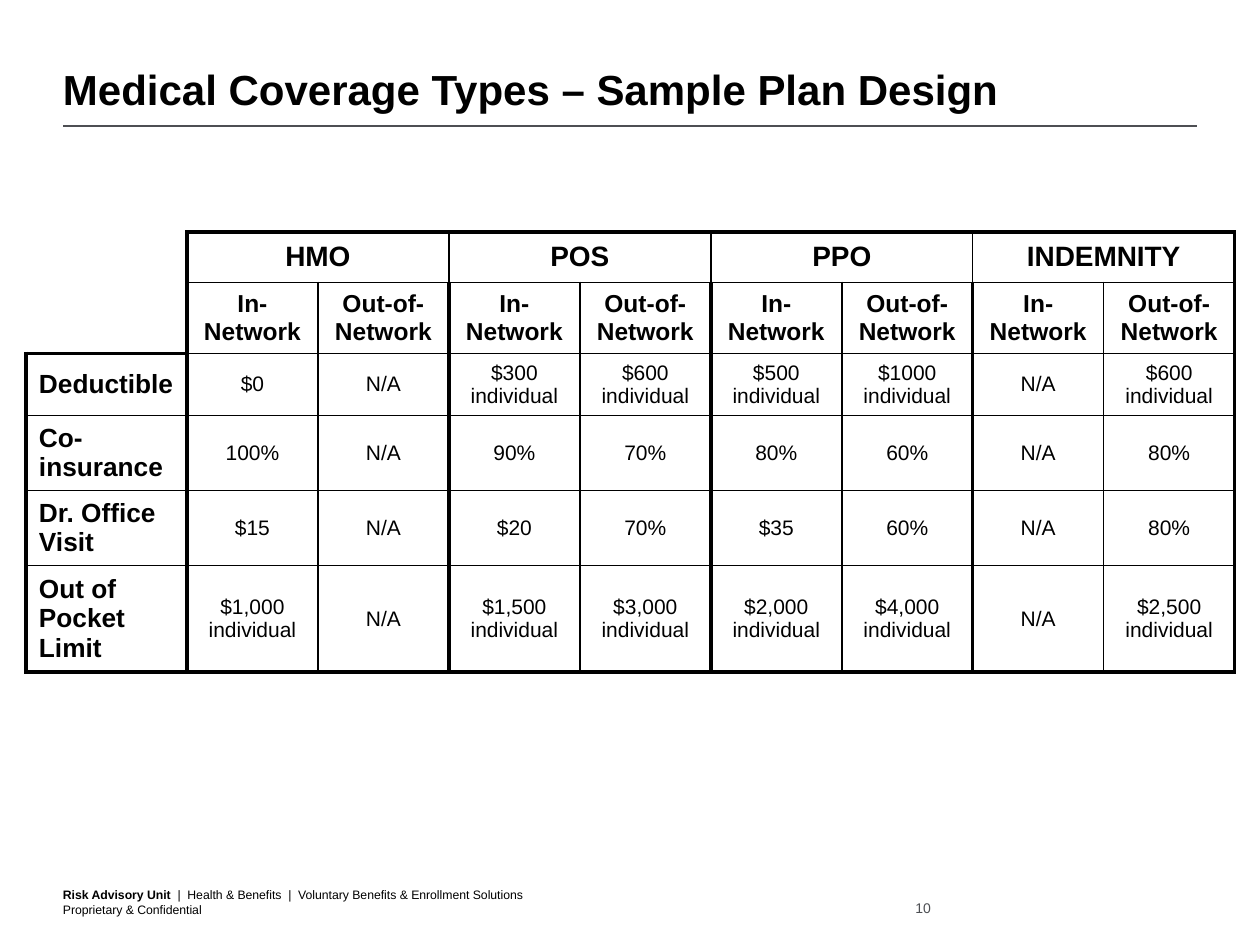
from dataclasses import dataclass

from lxml import etree
from pptx import Presentation
from pptx.dml.color import RGBColor
from pptx.enum.shapes import MSO_CONNECTOR
from pptx.enum.text import MSO_ANCHOR, PP_ALIGN
from pptx.oxml.ns import qn
from pptx.util import Emu, Pt

LEFT, CENTER, RIGHT = PP_ALIGN.LEFT, PP_ALIGN.CENTER, PP_ALIGN.RIGHT
BOTTOM, MIDDLE = MSO_ANCHOR.BOTTOM, MSO_ANCHOR.MIDDLE
STRAIGHT = MSO_CONNECTOR.STRAIGHT

PX_PER_INCH = 126
FONT = "Arial"
BLACK, GRAY = "000000", "4D4F53"
THICK, THIN, NONE = 2.25, 1, 0

PLANS = ["HMO", "POS", "PPO", "INDEMNITY"]
NETWORKS = ["In-Network", "Out-of-Network"]
BENEFITS = [
    ("Deductible", "$0", "N/A", "$300 individual", "$600 individual",
     "$500 individual", "$1000 individual", "N/A", "$600 individual"),
    ("Co-insurance", "100%", "N/A", "90%", "70%", "80%", "60%", "N/A", "80%"),
    ("Dr. Office Visit", "$15", "N/A", "$20", "70%", "$35", "60%", "N/A", "80%"),
    ("Out of Pocket Limit", "$1,000 individual", "N/A", "$1,500 individual",
     "$3,000 individual", "$2,000 individual", "$4,000 individual", "N/A",
     "$2,500 individual"),
]
COL_WIDTHS = [161] + [131] * 8
ROW_HEIGHTS = [45, 69, 60, 72, 72, 102]
HEADER_ROWS = 2


@dataclass
class Style:
    size: float
    bold: bool = False
    color: str = BLACK
    align: PP_ALIGN = LEFT


PLAN = Style(16, True, align=CENTER)
NETWORK = Style(14, True, align=CENTER)
BENEFIT = Style(15, True)
VALUE = Style(12, align=CENTER)


def px(n: int) -> Emu:
    return Emu(round(n * 914400 / PX_PER_INCH))


def rgb(color: str) -> RGBColor:
    return RGBColor.from_string(color)


def style_paragraph(p, style: Style) -> None:
    p.alignment = style.align
    p.font.name = FONT
    p.font.size = Pt(style.size)
    p.font.bold = style.bold
    p.font.color.rgb = rgb(style.color)


def add_text(slide, x: int, y: int, w: int, h: int, style: Style):
    """Add a bottom-anchored box without insets and return its paragraph."""
    tf = slide.shapes.add_textbox(px(x), px(y), px(w), px(h)).text_frame
    tf.word_wrap = True
    tf.vertical_anchor = BOTTOM
    tf.margin_left = tf.margin_top = tf.margin_right = tf.margin_bottom = 0
    p = tf.paragraphs[0]
    style_paragraph(p, style)
    return p


def add_rule(slide, x1: int, x2: int, y: int) -> None:
    line = slide.shapes.add_connector(STRAIGHT, px(x1), px(y), px(x2), px(y))
    line.line.color.rgb = rgb(GRAY)
    line.line.width = Pt(0.75)
    etree.SubElement(line._element.spPr, qn("a:effectLst"))


def vertical_width(row: int, edge: int) -> float:
    """Width of the grid line at column edge `edge` beside `row`."""
    if edge == 0:
        return THICK if row >= HEADER_ROWS else NONE
    if row == 0:
        if edge in (1, len(COL_WIDTHS)):
            return THICK
        return THIN if edge % 2 else NONE
    return THICK if edge % 2 else THIN


def horizontal_width(edge: int, col: int) -> float:
    """Width of the grid line at row edge `edge` along `col`."""
    first = HEADER_ROWS if col == 0 else 0
    if edge < first:
        return NONE
    return THICK if edge in (first, len(ROW_HEIGHTS)) else THIN


def set_borders(cell, widths: list[float]) -> None:
    """Set the left, right, top and bottom borders, in that order."""
    tc_pr = cell._tc.get_or_add_tcPr()
    for i, (side, width) in enumerate(zip("LRTB", widths)):
        ln = etree.Element(qn(f"a:ln{side}"), w=str(Pt(width)))
        if width:
            fill = etree.SubElement(ln, qn("a:solidFill"))
            etree.SubElement(fill, qn("a:srgbClr"), val=BLACK)
        else:
            etree.SubElement(ln, qn("a:noFill"))
        tc_pr.insert(i, ln)


def fill_cell(cell, text: str, style: Style) -> None:
    cell.text = text
    cell.vertical_anchor = MIDDLE
    cell.margin_left = cell.margin_right = px(13)
    cell.margin_top = cell.margin_bottom = px(6)
    style_paragraph(cell.text_frame.paragraphs[0], style)


def add_plan_table(slide, x: int, y: int) -> None:
    table = slide.shapes.add_table(
        len(ROW_HEIGHTS), len(COL_WIDTHS), px(x), px(y),
        px(sum(COL_WIDTHS)), px(sum(ROW_HEIGHTS))).table
    table.first_row = table.horz_banding = False
    for column, width in zip(table.columns, COL_WIDTHS):
        column.width = px(width)
    for row, height in zip(table.rows, ROW_HEIGHTS):
        row.height = px(height)

    for i, plan in enumerate(PLANS):
        col = 1 + 2 * i
        table.cell(0, col).merge(table.cell(0, col + 1))
        fill_cell(table.cell(0, col), plan, PLAN)
        for j, network in enumerate(NETWORKS):
            fill_cell(table.cell(1, col + j), network, NETWORK)
    for r, benefit in enumerate(BENEFITS, HEADER_ROWS):
        for c, text in enumerate(benefit):
            fill_cell(table.cell(r, c), text, VALUE if c else BENEFIT)

    for r in range(len(ROW_HEIGHTS)):
        for c in range(len(COL_WIDTHS)):
            cell = table.cell(r, c)
            span = cell.span_width if cell.is_merge_origin else 1
            cell.fill.background()
            set_borders(cell, [vertical_width(r, c), vertical_width(r, c + span),
                               horizontal_width(r, c), horizontal_width(r + 1, c)])


def add_footer(slide) -> None:
    p = add_text(slide, 63, 887, 832, 30, Style(7))
    r = p.add_run()
    r.text = "Risk Advisory Unit  "
    r.font.bold = True
    p.add_run().text = "|  Health & Benefits  |  Voluntary Benefits & Enrollment Solutions"
    p.add_line_break()
    p.add_run().text = "Proprietary & Confidential"
    page = add_text(slide, 882, 900, 49, 16, Style(8, color=GRAY, align=RIGHT))
    page.add_run().text = "10"


def main() -> None:
    prs = Presentation()
    prs.slide_width, prs.slide_height = px(1260), px(945)
    slide = prs.slides.add_slide(prs.slide_layouts[6])
    add_rule(slide, 63, 1197, 126)
    add_footer(slide)
    title = add_text(slide, 63, 42, 1134, 72, Style(24, True))
    title.add_run().text = "Medical Coverage Types – Sample Plan Design"
    add_plan_table(slide, 26, 232)
    prs.save("out.pptx")


if __name__ == "__main__":
    main()
